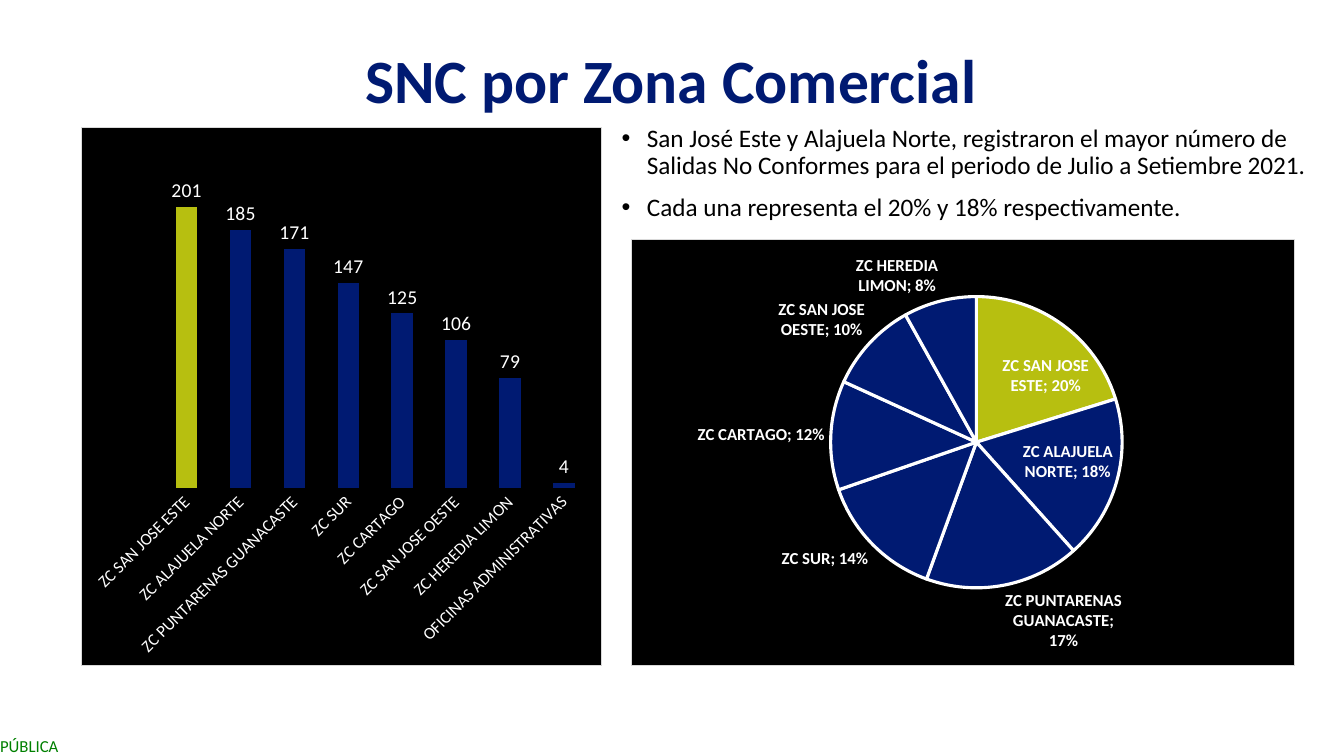
from lxml import etree
from pptx import Presentation
from pptx.chart.data import CategoryChartData
from pptx.dml.color import RGBColor
from pptx.enum import chart as ch, text
from pptx.oxml import parse_xml
from pptx.oxml.ns import nsdecls, qn
from pptx.util import Pt

NAVY, LIME, WHITE, BLACK, GREEN = "001A72", "B7BF10", "FFFFFF", "000000", "008000"
FONT = "Calibri"
ZONES = ["ZC SAN JOSE ESTE", "ZC ALAJUELA NORTE", "ZC PUNTARENAS GUANACASTE", "ZC SUR",
         "ZC CARTAGO", "ZC SAN JOSE OESTE", "ZC HEREDIA LIMON", "OFICINAS ADMINISTRATIVAS"]
COUNTS = [201, 185, 171, 147, 125, 106, 79, 4]
SHARES = [0.2, 0.18, 0.17, 0.14, 0.12, 0.1, 0.08, 0]


def color(value):
    return RGBColor.from_string(value)


def style(font, size, shade, bold=False):
    font.name, font.size, font.bold = FONT, Pt(size), bold
    font.color.rgb = color(shade)


def paint(fill, shade):
    fill.solid()
    fill.fore_color.rgb = color(shade)


def add_title(page, box, words):
    title = page.shapes.title
    title.left, title.top, title.width, title.height = map(Pt, box)
    frame = title.text_frame
    frame.text = words
    frame.vertical_anchor = text.MSO_ANCHOR.MIDDLE
    para = frame.paragraphs[0]
    para.alignment = text.PP_ALIGN.CENTER
    para.line_spacing = 0.9
    style(para.runs[0].font, 44, NAVY, True)


def add_findings(page, box, findings):
    frame = page.shapes.add_textbox(*map(Pt, box)).text_frame
    frame.word_wrap = True
    for index, finding in enumerate(findings):
        para = frame.add_paragraph() if index else frame.paragraphs[0]
        para.text = finding
        props = para._p.get_or_add_pPr()
        props.set("marL", str(Pt(18)))
        props.set("indent", str(Pt(-18)))
        etree.SubElement(props, qn("a:buFont")).set("typeface", "Arial")
        etree.SubElement(props, qn("a:buChar")).set("char", "•")
        para.line_spacing = 0.9
        para.space_before = Pt(10 if index else 0)
        style(para.runs[0].font, 18, BLACK)


def add_classification(page, box, words):
    frame = page.shapes.add_textbox(*map(Pt, box)).text_frame
    frame.margin_left = frame.margin_top = frame.margin_right = frame.margin_bottom = 0
    frame.text = words
    style(frame.paragraphs[0].runs[0].font, 12, GREEN)


def add_zone_chart(page, box, kind, values, number_format, layout):
    """Add a black chart of the zones; layout is the inner plot area as fractions of it."""
    data = CategoryChartData(number_format=number_format)
    data.categories = ZONES
    data.add_series("Series 1", values)
    chart = page.shapes.add_chart(kind, *map(Pt, box), data).chart
    chart.has_title = chart.has_legend = False
    style(chart.font, 12, BLACK)
    space = chart._chartSpace
    space.find(qn("c:chart")).addnext(parse_xml(
        f'<c:spPr {nsdecls("c", "a")}><a:solidFill><a:srgbClr val="{BLACK}"/></a:solidFill>'
        '<a:ln w="9525"><a:solidFill><a:srgbClr val="D9D9D9"/></a:solidFill></a:ln></c:spPr>'))
    area = space.find(".//" + qn("c:plotArea"))
    for old in area.findall(qn("c:layout")):
        area.remove(old)
    sizes = "".join(f'<c:{key} val="{part}"/>' for key, part in zip("xywh", layout))
    area.insert(0, parse_xml(
        f'<c:layout {nsdecls("c")}><c:manualLayout><c:layoutTarget val="inner"/>'
        f'<c:xMode val="edge"/><c:yMode val="edge"/>{sizes}</c:manualLayout></c:layout>'))
    for index in range(len(ZONES)):
        paint(chart.plots[0].series[0].points[index].format.fill, NAVY if index else LIME)
    return chart


def add_count_columns(page, box):
    chart = add_zone_chart(page, box, ch.XL_CHART_TYPE.COLUMN_CLUSTERED, COUNTS, "General",
                           (0.15, 0.02, 0.83, 0.65))
    plot = chart.plots[0]
    plot.gap_width = 150
    plot.vary_by_categories = False
    axis = chart.value_axis
    axis.minimum_scale, axis.maximum_scale = 0, 250
    axis.has_major_gridlines = axis.visible = False
    zones = chart.category_axis
    zones.major_tick_mark = ch.XL_TICK_MARK.NONE
    zones.format.line.fill.background()
    style(zones.tick_labels.font, 12, WHITE)
    zones._element.find(qn("c:txPr")).find(qn("a:bodyPr")).set("rot", "-2700000")
    labels = plot.series[0].data_labels
    labels.show_value = True
    labels.position = ch.XL_LABEL_POSITION.OUTSIDE_END
    style(labels.font, 14, WHITE)


def add_share_pie(page, box):
    chart = add_zone_chart(page, box, ch.XL_CHART_TYPE.PIE, SHARES, "0%",
                           (0.3, 0.13, 0.44, 0.69))
    plot = chart.plots[0]
    plot.vary_by_categories = True
    series = plot.series[0]
    for index in range(len(ZONES)):
        line = series.points[index].format.line
        paint(line.fill, WHITE)
        line.width = Pt(2.25)
    labels = series.data_labels
    labels.show_value = labels.show_category_name = True
    labels.number_format, labels.number_format_is_linked = "0%", False
    labels.position = ch.XL_LABEL_POSITION.BEST_FIT
    style(labels.font, 12, WHITE, True)
    element = labels._element
    for separator in element.findall(qn("c:separator")):
        element.remove(separator)
    element.find(qn("c:showBubbleSize")).addnext(
        parse_xml(f'<c:separator {nsdecls("c")}>; </c:separator>'))
    element.insert(0, parse_xml(
        f'<c:dLbl {nsdecls("c")}><c:idx val="{len(ZONES) - 1}"/><c:delete val="1"/></c:dLbl>'))


def main():
    deck = Presentation()
    deck.slide_width, deck.slide_height = Pt(960), Pt(540)
    page = deck.slides.add_slide(deck.slide_layouts[5])
    add_classification(page, (0, 525.6, 60, 14.4), "PÚBLICA")
    add_title(page, (169, 29, 621, 62), "SNC por Zona Comercial")
    add_count_columns(page, (58, 91, 372, 385))
    add_share_pie(page, (451, 171, 474, 305))
    add_findings(page, (437, 86.4, 523, 84), [
        "San José Este y Alajuela Norte, registraron el mayor número de Salidas No Conformes "
        "para el periodo de Julio a Setiembre 2021.",
        "Cada una representa el 20% y 18% respectivamente."])
    deck.save("out.pptx")


if __name__ == "__main__":
    main()
